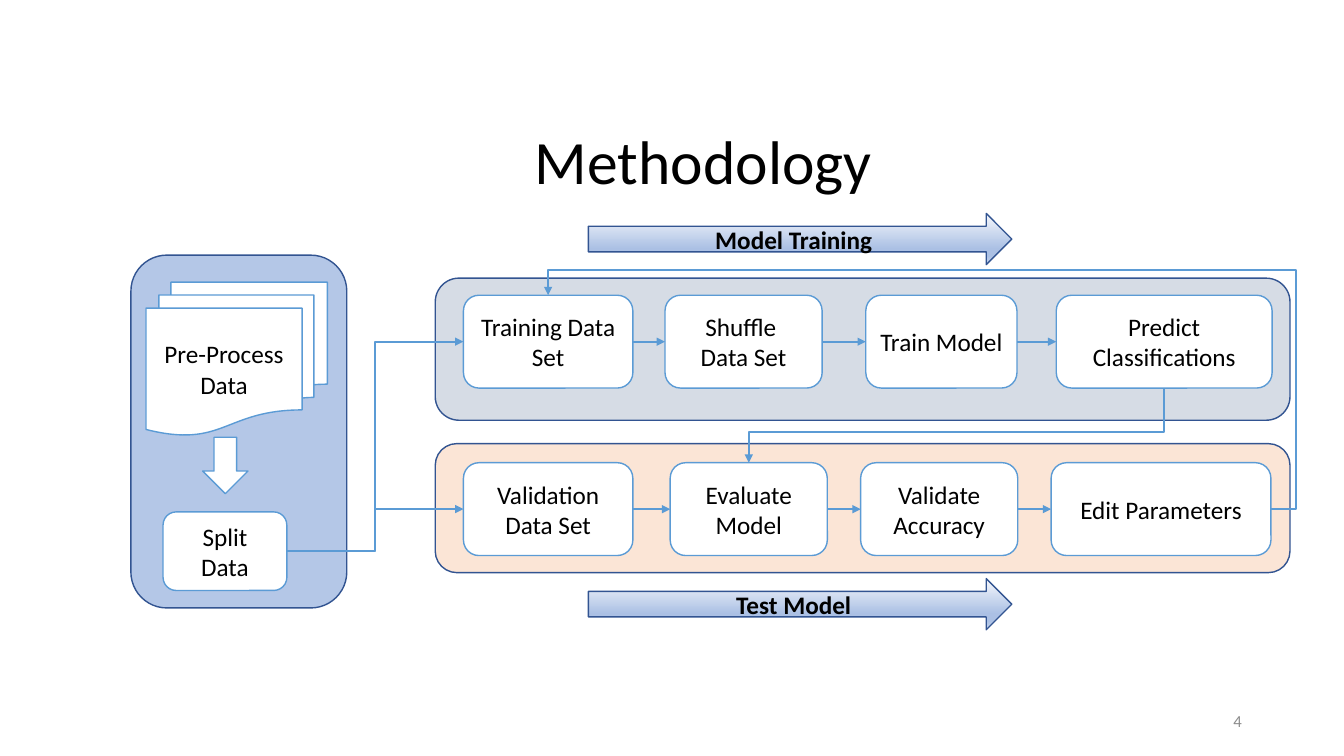
from lxml import etree
from pptx import Presentation
from pptx.dml.color import RGBColor
from pptx.enum.shapes import MSO_CONNECTOR, MSO_SHAPE
from pptx.enum.text import MSO_ANCHOR, PP_ALIGN
from pptx.oxml.ns import qn
from pptx.util import Cm, Pt

ROUNDED = MSO_SHAPE.ROUNDED_RECTANGLE
STACK = MSO_SHAPE.FLOWCHART_MULTIDOCUMENT
DOWN_ARROW, RIGHT_ARROW = MSO_SHAPE.DOWN_ARROW, MSO_SHAPE.RIGHT_ARROW
STRAIGHT, ELBOW = MSO_CONNECTOR.STRAIGHT, MSO_CONNECTOR.ELBOW
CENTER, RIGHT, MIDDLE = PP_ALIGN.CENTER, PP_ALIGN.RIGHT, MSO_ANCHOR.MIDDLE
TOP_SIDE, LEFT_SIDE, BOTTOM_SIDE, RIGHT_SIDE = range(4)

COLORS = {
    "text": "000000", "number": "8C8C8C", "white": "FFFFFF",
    "dark_line": "325491", "blue_line": "5B9BD5",
    "prepare": "B4C7E7", "training": "D6DCE5", "testing": "FBE5D6",
    "pale": "F6F8FC", "mid": "ABC0E4", "soft": "C7D5ED",
}
BANNER_STOPS = [(0, "pale"), (69, "mid"), (83, "mid"), (100, "soft")]


def write(shape, text, size=18, bold=False, color="text", align=CENTER, spacing=None):
    frame = shape.text_frame
    frame.word_wrap = True
    frame.vertical_anchor = MIDDLE
    frame.text = text
    paragraph = frame.paragraphs[0]
    paragraph.alignment = align
    paragraph.line_spacing = spacing
    for run in paragraph.runs:
        run.font.name = "Calibri"
        run.font.size = Pt(size)
        run.font.bold = bold
        run.font.color.rgb = RGBColor.from_string(COLORS[color])


def add_block(kind, box, fill="white", line="blue_line", text=None):
    block = slide.shapes.add_shape(kind, *map(Cm, box))
    block.shadow.inherit = False
    block.fill.solid()
    block.fill.fore_color.rgb = RGBColor.from_string(COLORS[fill])
    block.line.color.rgb = RGBColor.from_string(COLORS[line])
    block.line.width = Pt(1)
    if text:
        write(block, text)
    return block


prs = Presentation()
prs.slide_width, prs.slide_height = Cm(33.87), Cm(19.05)
slide = prs.slides.add_slide(prs.slide_layouts[6])

# Background panels
for box, fill in [((10.97, 11.18, 21.54, 3.25), "testing"),
                  ((10.97, 7.01, 21.54, 3.58), "training"),
                  ((3.3, 6.43, 5.44, 8.89), "prepare")]:
    add_block(ROUNDED, box, fill, "dark_line")

# Title and slide number
title = slide.shapes.add_textbox(Cm(3.3), Cm(2.31), Cm(29.21), Cm(3.68))
write(title, "Methodology ", size=44, spacing=0.9)
number = slide.shapes.add_textbox(Cm(23.93), Cm(17.65), Cm(7.62), Cm(1.02))
write(number, "4", size=12, color="number", align=RIGHT)

# Data preparation
add_block(STACK, (3.68, 7.11, 4.57, 3.86), text="Pre-Process Data")
add_block(DOWN_ARROW, (5.11, 11.02, 1.14, 1.42))
split = add_block(ROUNDED, (4.11, 12.9, 3.12, 1.98), text="Split Data")

# Training and testing steps: left, width, text
STEP_ROWS = [
    (7.44, [(11.68, 4.27, "Training Data Set"), (16.76, 3.96, "Shuffle \vData Set"),
            (21.82, 3.81, "Train Model"), (26.62, 5.44, "Predict Classifications")]),
    (11.66, [(11.68, 4.27, "Validation Data Set"), (16.89, 3.96, "Evaluate Model"),
             (21.69, 3.96, "Validate Accuracy"), (26.49, 5.54, "Edit Parameters")]),
]
training, testing = [
    [add_block(ROUNDED, (left, top, width, 2.34), text=text) for left, width, text in steps]
    for top, steps in STEP_ROWS
]

# Phase banners
for top, text in [(5.38, "Model Training"), (14.58, "Test Model")]:
    banner = add_block(RIGHT_ARROW, (14.83, top, 10.67, 1.29), line="dark_line")
    write(banner, text, bold=True)
    banner.fill.gradient()
    banner.fill.gradient_angle = 270
    stops = next(banner._element.iter(qn("a:gsLst")))
    stops.clear()
    for position, color in BANNER_STOPS:
        stop = etree.SubElement(stops, qn("a:gs"), pos=str(position * 1000))
        etree.SubElement(stop, qn("a:srgbClr"), val=COLORS[color])

# Flow: start, side, end, side, preset, bend positions in percent, turned
flows = [(start, RIGHT_SIDE, end, LEFT_SIDE, None, [], False)
         for row in (training, testing) for start, end in zip(row, row[1:])]
flows += [(split, RIGHT_SIDE, row[0], LEFT_SIDE, "bentConnector3", [50], False)
          for row in (training, testing)]
flows += [
    (training[3], BOTTOM_SIDE, testing[1], TOP_SIDE, "bentConnector3", [59.1], True),
    (testing[3], RIGHT_SIDE, training[0], TOP_SIDE, "bentConnector4", [-3.5, 111.8], False),
]
for start, start_side, end, end_side, preset, bends, turned in flows:
    flow = slide.shapes.add_connector(ELBOW if preset else STRAIGHT, 0, 0, 0, 0)
    flow.begin_connect(start, start_side)
    flow.end_connect(end, end_side)
    flow.line.color.rgb = RGBColor.from_string(COLORS["blue_line"])
    flow.line.width = Pt(1.5)
    properties = flow._element.spPr
    etree.SubElement(flow.line._get_or_add_ln(), qn("a:tailEnd"), type="triangle")
    etree.SubElement(properties, qn("a:effectLst"))
    if preset:
        geometry = properties.find(qn("a:prstGeom"))
        geometry.set("prst", preset)
        guides = geometry.find(qn("a:avLst"))
        for index, bend in enumerate(bends, 1):
            etree.SubElement(guides, qn("a:gd"), name=f"adj{index}",
                             fmla=f"val {round(bend * 1000)}")
    if turned:
        # A quarter turn swaps the sides of the frame around its centre
        width, height = flow.width, flow.height
        flow.left += (width - height) // 2
        flow.top += (height - width) // 2
        flow.width, flow.height = height, width
        frame = properties.find(qn("a:xfrm"))
        frame.attrib.pop("flipH", None)
        frame.set("rot", "5400000")

prs.save("out.pptx")
